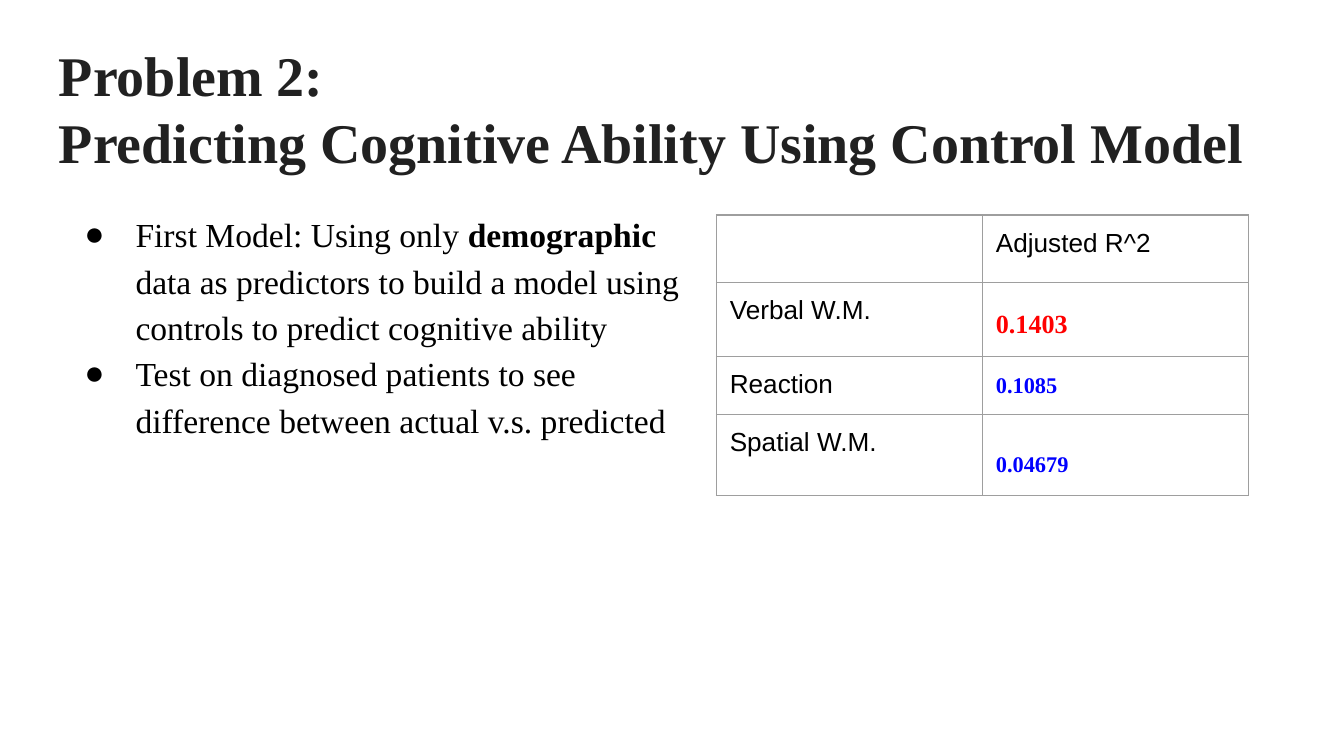
from lxml import etree
from pptx import Presentation
from pptx.dml.color import RGBColor
from pptx.enum.text import MSO_ANCHOR
from pptx.oxml.ns import qn
from pptx.util import Inches, Pt

TOP = MSO_ANCHOR.TOP
SERIF, SANS = "Times New Roman", "Arial"
COLORS = {"title": "212121", "text": "000000", "border": "9E9E9E",
          "red": "FF0000", "blue": "0000FF"}


def style(r, size, font, color, bold=False):
    r.font.size = Pt(size)
    r.font.name = font
    r.font.bold = bold
    r.font.color.rgb = RGBColor.from_string(COLORS[color])


def add_text_frame(s, left, top, width, height):
    tf = s.shapes.add_textbox(Inches(left), Inches(top), Inches(width), Inches(height)).text_frame
    tf.word_wrap = True
    tf.vertical_anchor = TOP
    tf.margin_left = tf.margin_right = tf.margin_top = tf.margin_bottom = Inches(0.1)
    return tf


# Widescreen 16:9
prs = Presentation()
prs.slide_width, prs.slide_height = Inches(10), Inches(10 * 9 / 16)
s = prs.slides.add_slide(prs.slide_layouts[6])

# Title
tf = add_text_frame(s, 0.34, 0.2, 9.32, 0.88)
tf.text = "Problem 2:\nPredicting Cognitive Ability Using Control Model"
for p in tf.paragraphs:
    style(p.runs[0], 30, SERIF, "title", True)

# Bullets: each is a list of (text, bold) runs
bullets = [
    [("First Model: Using only ", False), ("demographic ", True),
     ("data as predictors to build a model using controls to predict cognitive ability", False)],
    [("Test on diagnosed patients to see difference between actual v.s. predicted", False)],
]
tf = add_text_frame(s, 0.41, 1.45, 4.92, 2.82)
for i, runs in enumerate(bullets):
    p = tf.add_paragraph() if i else tf.paragraphs[0]
    p.line_spacing = 1.15
    for text, bold in runs:
        r = p.add_run()
        r.text = text
        style(r, 18, SERIF, "text", bold)
    pPr = p._p.get_or_add_pPr()
    pPr.set("marL", str(Inches(0.5)))
    pPr.set("indent", str(Inches(-0.38)))
    color = etree.SubElement(pPr, qn("a:buClr"))
    etree.SubElement(color, qn("a:srgbClr"), val=COLORS["text"])
    etree.SubElement(pPr, qn("a:buSzPts"), val="1800")
    etree.SubElement(pPr, qn("a:buFont"), typeface=SERIF)
    etree.SubElement(pPr, qn("a:buChar"), char="●")

# Table: label, value, value style, line spacing; rows grow to fit their text
rows = [
    ("", "Adjusted R^2", (14, SANS, "text"), None),
    ("Verbal W.M.", "0.1403", (14, SERIF, "red", True), 1.5),
    ("Reaction", "0.1085", (12, SERIF, "blue", True), 1.15),
    ("Spatial W.M.", "0.04679", (12, SERIF, "blue", True), 2.0),
]
table = s.shapes.add_table(len(rows), 2, Inches(5.33), Inches(1.6),
                           Inches(3.96), Inches(0.42 * len(rows))).table
table.first_row = table.horz_banding = False

for i, (label, value, value_style, spacing) in enumerate(rows):
    contents = [(label, (14, SANS, "text"), None), (value, value_style, spacing)]
    for j, (text, font, line_spacing) in enumerate(contents):
        cell = table.cell(i, j)
        cell.margin_left = cell.margin_right = cell.margin_top = cell.margin_bottom = Inches(0.1)
        cell.vertical_anchor = TOP
        if text:
            cell.text = text
            p = cell.text_frame.paragraphs[0]
            p.line_spacing = line_spacing
            style(p.runs[0], *font)
        # Borders come before the fill in the cell properties
        tcPr = cell._tc.get_or_add_tcPr()
        for side in ("lnL", "lnR", "lnT", "lnB"):
            ln = etree.SubElement(tcPr, qn(f"a:{side}"), w=str(Pt(0.75)))
            fill = etree.SubElement(ln, qn("a:solidFill"))
            etree.SubElement(fill, qn("a:srgbClr"), val=COLORS["border"])
        etree.SubElement(tcPr, qn("a:noFill"))

# Space after the reaction value
table.cell(2, 1).text_frame.paragraphs[0].space_after = Pt(16)

prs.save("out.pptx")
